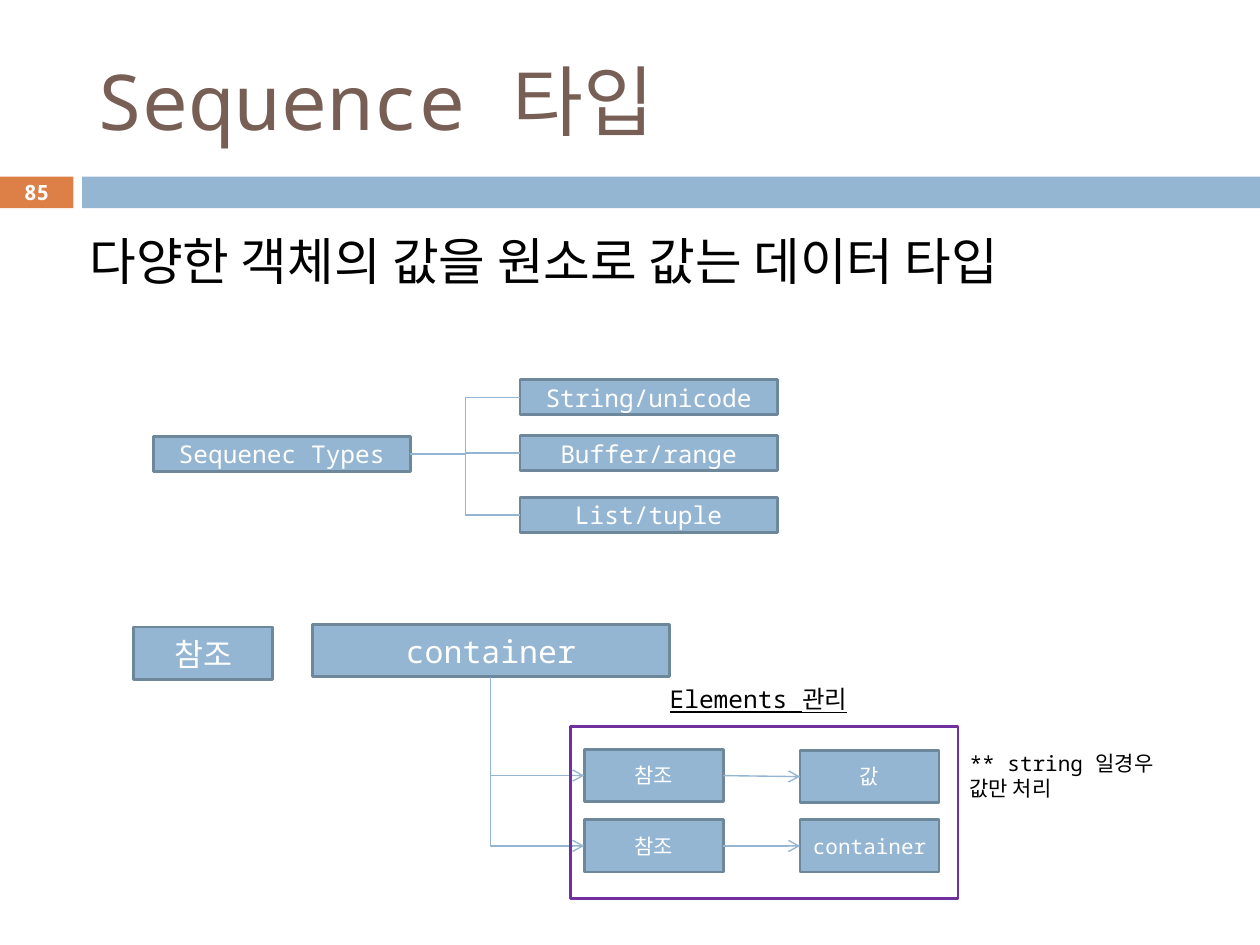
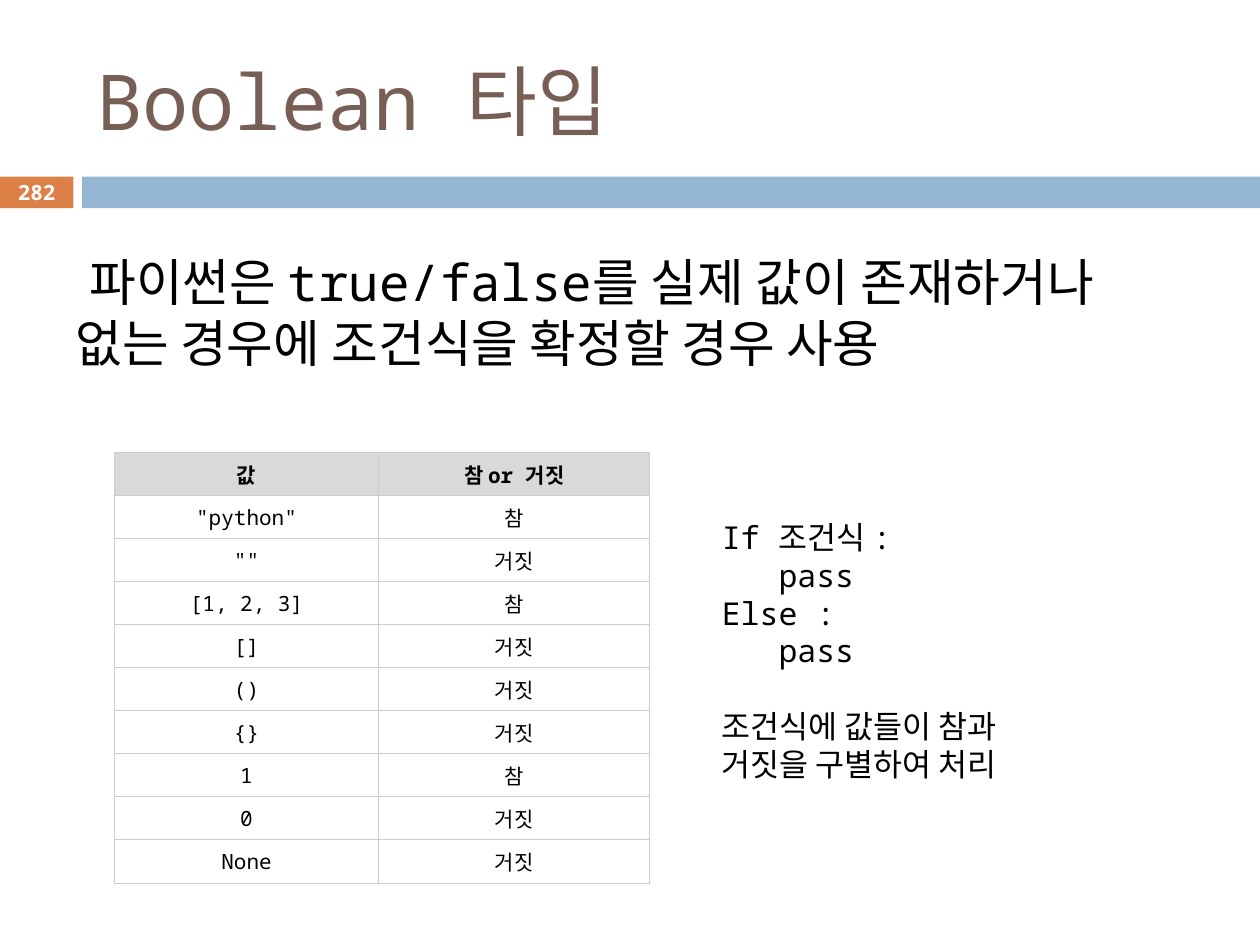
from dataclasses import dataclass

from lxml.etree import SubElement
from pptx import Presentation
from pptx.dml.color import RGBColor
from pptx.enum.shapes import MSO_CONNECTOR, MSO_SHAPE
from pptx.enum.text import MSO_ANCHOR, PP_ALIGN
from pptx.oxml.ns import qn
from pptx.util import Pt


@dataclass(frozen=True)
class Theme:
    font: str = "Noto Sans Mono"
    title: str = "775F55"
    text: str = "000000"
    white: str = "FFFFFF"
    blue: str = "94B6D2"
    outline: str = "6D879B"
    orange: str = "DD8047"
    frame: str = "7030A0"
    header: str = "D9D9D9"
    grid: str = "CCCCCC"
    title_size: float = 44
    body_size: float = 29
    large: float = 18
    medium: float = 14
    small: float = 12
    line: float = 1.5
    thin: float = 0.79
    hairline: float = 0.6


TOP, LEFT, BOTTOM, RIGHT = range(4)
THEME = Theme()


class SlideBuilder:
    """Holds the style and the slide being built."""

    def __init__(self, deck, theme):
        self.deck = deck
        self.theme = theme
        self.page = None

    def new_page(self, title, number):
        """Start a slide with its title, bands and page number."""
        theme = self.theme
        self.page = self.deck.slides.add_slide(self.deck.slide_layouts[6])
        self.box(0, 101, 42, 18, fill=theme.orange, line=None)
        self.box(47, 101, 673, 18, fill=theme.blue, line=None)
        self.text(48, 18, 642, 78, [title], theme.title_size, theme.title,
                  anchor=MSO_ANCHOR.MIDDLE)
        self.text(0, 100, 42, 19.5, [number], theme.small, theme.white,
                  align=PP_ALIGN.CENTER, anchor=MSO_ANCHOR.MIDDLE, bold=True)

    def style(self, para, size, color, align=PP_ALIGN.LEFT, bold=False, underline=False):
        para.alignment = align
        font = para.font
        font.name = self.theme.font
        font.size = Pt(size)
        font.bold = bold
        font.underline = underline
        font.color.rgb = RGBColor.from_string(color)

    def text(self, left, top, width, height, lines, size, color=THEME.text,
             anchor=MSO_ANCHOR.TOP, indent=0, **style):
        """Add a wrapped text box, one paragraph a line."""
        box = self.page.shapes.add_textbox(Pt(left), Pt(top), Pt(width), Pt(height))
        frame = box.text_frame
        frame.word_wrap = True
        frame.vertical_anchor = anchor
        for index, line in enumerate(lines):
            para = frame.paragraphs[0] if index == 0 else frame.add_paragraph()
            para.text = line
            if indent:
                para._p.get_or_add_pPr().set("indent", str(Pt(indent)))
            self.style(para, size, color, **style)
        return frame

    def box(self, left, top, width, height, label="", size=THEME.medium,
            fill=THEME.blue, line=THEME.outline):
        """Add a rectangle with an optional centred label."""
        box = self.page.shapes.add_shape(
            MSO_SHAPE.RECTANGLE, Pt(left), Pt(top), Pt(width), Pt(height))
        box.shadow.inherit = False
        if fill:
            box.fill.solid()
            box.fill.fore_color.rgb = RGBColor.from_string(fill)
        else:
            box.fill.background()
        if line:
            box.line.color.rgb = RGBColor.from_string(line)
            box.line.width = Pt(self.theme.line)
        else:
            box.line.fill.background()
        if label:
            frame = box.text_frame
            frame.margin_left = frame.margin_right = Pt(3)
            frame.margin_top = frame.margin_bottom = 0
            frame.vertical_anchor = MSO_ANCHOR.MIDDLE
            para = frame.paragraphs[0]
            para.text = label
            self.style(para, size, self.theme.white, PP_ALIGN.CENTER)
        return box

    def connect(self, start, start_side, end, end_side,
                kind=MSO_CONNECTOR.STRAIGHT, arrow=False):
        """Join two boxes at the middle of the given sides."""
        link = self.page.shapes.add_connector(kind, 0, 0, 0, 0)
        link.begin_connect(start, start_side)
        link.end_connect(end, end_side)
        link.line.color.rgb = RGBColor.from_string(self.theme.blue)
        link.line.width = Pt(self.theme.thin)
        properties = link._element.spPr
        if arrow:
            SubElement(properties.find(qn("a:ln")), qn("a:tailEnd"), type="arrow")
        SubElement(properties, qn("a:effectLst"))
        return link

    def connect_corner(self, start, end):
        """Run an arrow down from start, then right into end."""
        link = self.connect(start, BOTTOM, end, LEFT, MSO_CONNECTOR.ELBOW, arrow=True)
        across, down = link.width, link.height
        link.left += (across - down) // 2
        link.top += (down - across) // 2
        link.width, link.height = down, across
        properties = link._element.spPr
        properties.find(qn("a:prstGeom")).set("prst", "bentConnector2")
        frame = properties.find(qn("a:xfrm"))
        frame.set("rot", str(270 * 60000))
        frame.set("flipH", "1")

    def table(self, left, top, widths, row_height, rows):
        """Add a bordered table whose first row is the header."""
        theme = self.theme
        grid = self.page.shapes.add_table(
            len(rows), len(widths), Pt(left), Pt(top),
            Pt(sum(widths)), Pt(row_height * len(rows))).table
        for column, width in zip(grid.columns, widths):
            column.width = Pt(width)
        for row_index, values in enumerate(rows):
            grid.rows[row_index].height = Pt(row_height)
            is_header = row_index == 0
            for column_index, value in enumerate(values):
                cell = grid.cell(row_index, column_index)
                cell.margin_left = cell.margin_right = Pt(8)
                cell.margin_top = cell.margin_bottom = Pt(3.6)
                cell.vertical_anchor = MSO_ANCHOR.MIDDLE
                para = cell.text_frame.paragraphs[0]
                para.text = value
                self.style(para, theme.small, theme.text, PP_ALIGN.CENTER, bold=is_header)
                self.border(cell)
                cell.fill.solid()
                cell.fill.fore_color.rgb = RGBColor.from_string(
                    theme.header if is_header else theme.white)

    def border(self, cell):
        properties = cell._tc.get_or_add_tcPr()
        for side in ("lnL", "lnR", "lnT", "lnB"):
            edge = SubElement(properties, qn(f"a:{side}"), w=str(Pt(self.theme.hairline)))
            fill = SubElement(edge, qn("a:solidFill"))
            SubElement(fill, qn("a:srgbClr"), val=self.theme.grid)


def build_sequence_page(builder):
    theme = builder.theme
    builder.new_page("Sequence 타입", "85")
    builder.text(36, 128, 648, 94, ["다양한 객체의 값을 원소로 값는 데이터 타입"],
                 theme.body_size, indent=8)

    # Tree of sequence types
    root = builder.box(87.6, 249.5, 147, 20, "Sequenec Types")
    branches = (("String/unicode", 217), ("Buffer/range", 249), ("List/tuple", 284.2))
    for label, top in branches:
        branch = builder.box(297.2, top, 147, 20, label)
        builder.connect(root, RIGHT, branch, LEFT, MSO_CONNECTOR.ELBOW)

    # Container and the elements it manages
    builder.box(76.4, 358.4, 79.4, 30, "참조", theme.large)
    container = builder.box(178.5, 356.8, 204, 30, "container", theme.large)
    for label, top, target_top in (("값", 428.2, 428.8), ("container", 468.4, 468.4)):
        reference = builder.box(333.9, top, 79.4, 30, "참조", theme.small)
        target = builder.box(457.2, target_top, 79.4, 30, label, theme.small)
        builder.connect_corner(container, reference)
        builder.connect(reference, RIGHT, target, LEFT, arrow=True)

    # Frame and notes
    builder.text(547, 425.5, 142, 36, ["** string 일경우 값만 처리"], theme.small)
    builder.box(326, 415, 221.4, 98.6, fill=None, line=theme.frame)
    builder.text(354.5, 387.5, 158, 24.5, ["Elements 관리"], theme.medium,
                 align=PP_ALIGN.CENTER, underline=True)


def build_boolean_page(builder):
    theme = builder.theme
    builder.new_page("Boolean 타입", "282")
    builder.text(36, 139.7, 648, 82,
                 ["파이썬은 true/false를 실제 값이 존재하거나 없는 경우에 조건식을 확정할 경우 사용"],
                 theme.body_size, indent=8)

    # Truth values
    truths = (('"python"', True), ('""', False), ("[1, 2, 3]", True), ("[]", False),
              ("()", False), ("{}", False), ("1", True), ("0", False), ("None", False))
    rows = [("값", "참 or 거짓")]
    rows += [(value, "참" if truth else "거짓") for value, truth in truths]
    builder.table(65.4, 258.5, (151, 155), 24.63, rows)

    # Condition syntax and explanation
    frame = builder.text(405.4, 292.5, 198.7, 160,
                         ["If 조건식 :", "   pass", "Else :", "   pass",
                          "조건식에 값들이 참과 거짓을 구별하여 처리"], theme.large)
    frame.paragraphs[-1].space_before = Pt(21.6)


def main():
    deck = Presentation()
    deck.slide_width, deck.slide_height = Pt(720), Pt(540)
    builder = SlideBuilder(deck, THEME)
    build_sequence_page(builder)
    build_boolean_page(builder)
    deck.save("out.pptx")


if __name__ == "__main__":
    main()
